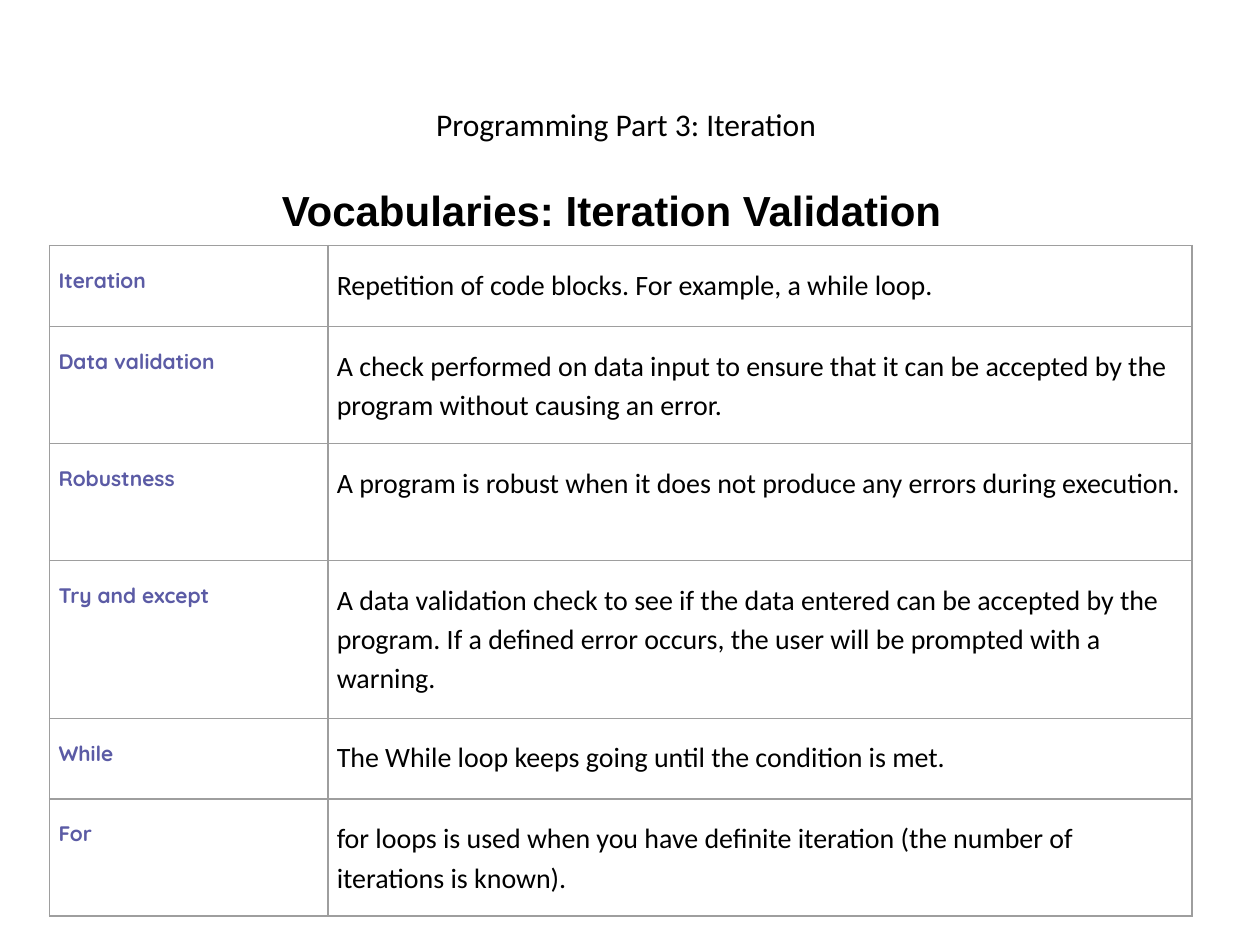
from dataclasses import dataclass

from lxml import etree
from pptx import Presentation
from pptx import util as u
from pptx.dml.color import RGBColor
from pptx.enum import text
from pptx.oxml import ns


@dataclass(frozen=True)
class Theme:
    ink: str = "000000"
    term: str = "5B5BA5"
    rule: str = "9E9E9E"
    body: str = "Calibri"
    label: str = "Quicksand"
    head: str = "Arial"
    top: int = 18
    sub: int = 24
    small: int = 12
    text: int = 16
    edge: float = 1
    lead: float = 1.15


TITLE = "Programming Part 3: Iteration "
HEADING = "Vocabularies: Iteration Validation"
TERMS = [
    ("Iteration", "Repetition of code blocks. For example, a while loop.", 1),
    ("Data validation", "A check performed on data input to ensure that it can be "
     "accepted by the program without causing an error.", 2),
    ("Robustness", "A program is robust when it does not produce any errors "
     "during execution.", 2),
    ("Try and except", "A data validation check to see if the data entered can be "
     "accepted by the program. If a defined error occurs, the user will be "
     "prompted with a warning.", 3),
    ("While", "The While loop keeps going until the condition is met.", 1),
    ("For", "for loops is used when you have definite iteration (the number of "
     "iterations is known).", 2),
]
WIDTHS = (5.61, 17.42)
HEIGHTS = {1: 1.63, 2: 2.36, 3: 3.18}


def write(frame, words, *, font, size, color, bold=False, align=None, lead=None):
    para = frame.paragraphs[0]
    para.alignment = align
    para.line_spacing = lead
    run = para.add_run()
    run.text = words
    run.font.name = font
    run.font.size = u.Pt(size)
    run.font.bold = bold
    run.font.color.rgb = RGBColor.from_string(color)


class Deck:
    """Hold the theme and the current slide, and add each kind of element."""

    def __init__(self, theme):
        self.theme = theme
        self.show = Presentation()
        self.show.slide_width, self.show.slide_height = u.Cm(25.4), u.Cm(19.05)
        self.slide = self.show.slides.add_slide(self.show.slide_layouts[5])

    def title(self, words, *box):
        shape = self.slide.shapes.title
        shape.left, shape.top, shape.width, shape.height = map(u.Cm, box)
        frame = shape.text_frame
        frame.word_wrap = True
        frame.vertical_anchor = text.MSO_ANCHOR.MIDDLE
        frame.margin_left = frame.margin_right = u.Cm(0.25)
        frame.margin_top = frame.margin_bottom = u.Cm(0.25)
        write(frame, words, font=self.theme.body, size=self.theme.top,
              color=self.theme.ink, align=text.PP_ALIGN.CENTER)

    def label(self, words, *box):
        frame = self.slide.shapes.add_textbox(*map(u.Cm, box)).text_frame
        frame.word_wrap = True
        frame.auto_size = text.MSO_AUTO_SIZE.SHAPE_TO_FIT_TEXT
        frame.vertical_anchor = text.MSO_ANCHOR.MIDDLE
        write(frame, words, font=self.theme.head, size=self.theme.sub,
              color=self.theme.ink, bold=True, align=text.PP_ALIGN.CENTER)

    def border(self, cell):
        props = cell._tc.get_or_add_tcPr()
        for spot, side in enumerate(("a:lnL", "a:lnR", "a:lnT", "a:lnB")):
            line = etree.Element(ns.qn(side), w=str(u.Pt(self.theme.edge)))
            fill = etree.SubElement(line, ns.qn("a:solidFill"))
            etree.SubElement(fill, ns.qn("a:srgbClr"), val=self.theme.rule)
            props.insert(spot, line)

    def cell(self, cell, words, **style):
        cell.margin_left = cell.margin_right = u.Cm(0.18)
        cell.margin_top = cell.margin_bottom = u.Cm(0.36)
        cell.fill.background()
        self.border(cell)
        write(cell.text_frame, words, lead=self.theme.lead, **style)

    def table(self, terms, left, top):
        tall = [HEIGHTS[lines] for *_, lines in terms]
        box = map(u.Cm, (left, top, sum(WIDTHS), sum(tall)))
        grid = self.slide.shapes.add_table(len(terms), len(WIDTHS), *box).table
        grid.first_row = grid.horz_banding = False
        for col, width in zip(grid.columns, WIDTHS):
            col.width = u.Cm(width)
        look = self.theme
        for row, height, (term, sense, _) in zip(grid.rows, tall, terms):
            row.height = u.Cm(height)
            self.cell(row.cells[0], term, font=look.label, size=look.small,
                      color=look.term, bold=True)
            self.cell(row.cells[1], sense, font=look.body, size=look.text,
                      color=look.ink)


def main():
    deck = Deck(Theme())
    deck.title(TITLE, 0.86, 1.2, 23.67, 2.6)
    deck.table(TERMS, 1, 4.95)
    deck.label(HEADING, 2.6, 3.58, 19.46, 1.28)
    deck.show.save("out.pptx")


if __name__ == "__main__":
    main()
